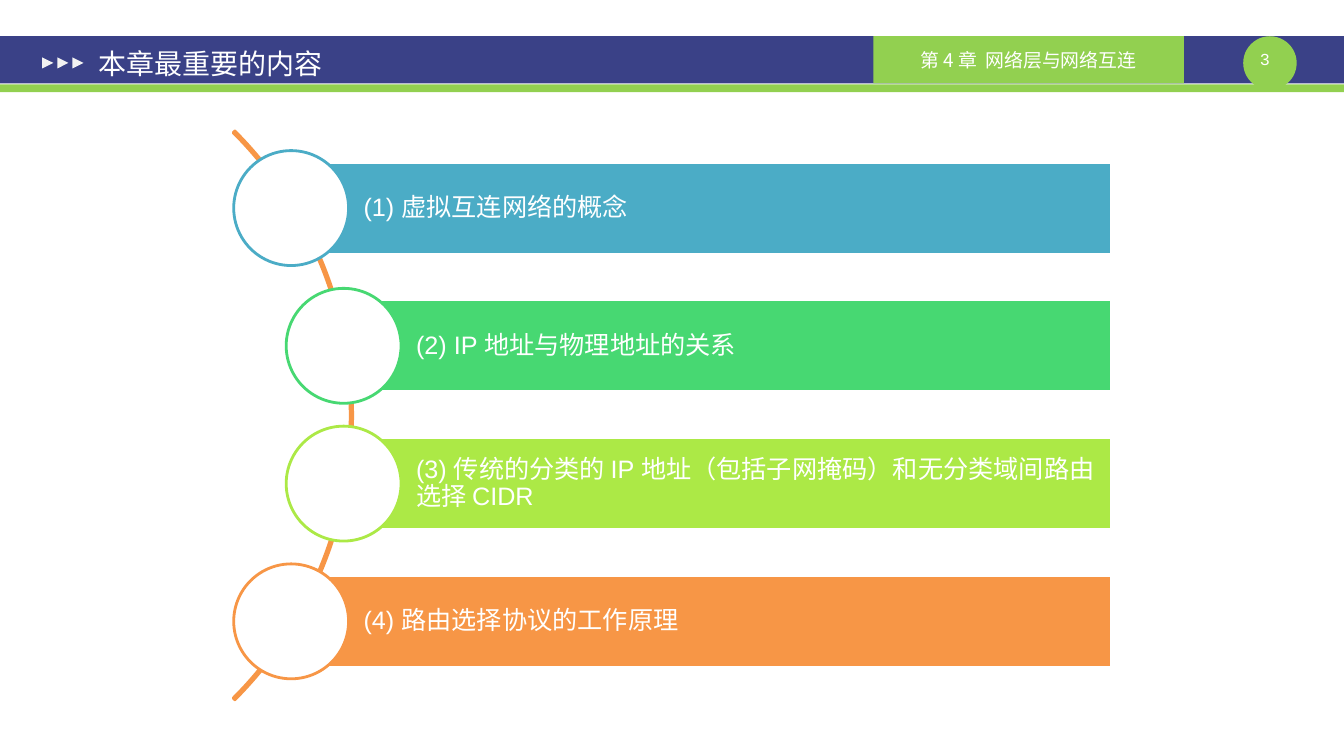
from pptx import Presentation
from pptx.dml.color import RGBColor
from pptx.enum.shapes import MSO_SHAPE
from pptx.enum.text import MSO_ANCHOR, PP_ALIGN
from pptx.util import Pt

RECTANGLE = MSO_SHAPE.RECTANGLE
OVAL = MSO_SHAPE.OVAL
TRIANGLE = MSO_SHAPE.ISOSCELES_TRIANGLE
BLOCK_ARC = MSO_SHAPE.BLOCK_ARC
MIDDLE = MSO_ANCHOR.MIDDLE
LEFT, CENTER = PP_ALIGN.LEFT, PP_ALIGN.CENTER

COLORS = {
    "white": "FFFFFF",
    "marker": "F2F2F2",
    "navy": "3A4187",
    "green": "92D050",
    "blue": "4BACC6",
    "emerald": "47D872",
    "lime": "ACE946",
    "orange": "F79646",
}
SLIDE_WIDTH, SLIDE_HEIGHT = 960.48, 540
BAND_TOP, BAND_HEIGHT = 25.9, 33.8

ROW_TOP, ROW_STEP, ROW_HEIGHT, ROW_RIGHT = 115.9, 98.4, 65.5, 794.2
CIRCLE_SIZE = 82.1
OUTER_LEFT, INNER_LEFT = 208.1, 245.6
TOPICS = [
    ("(1) 虚拟互连网络的概念", "blue", OUTER_LEFT),
    ("(2) IP 地址与物理地址的关系", "emerald", INNER_LEFT),
    ("(3) 传统的分类的 IP 地址（包括子网掩码）和无分类域间路由选择 CIDR", "lime", INNER_LEFT),
    ("(4) 路由选择协议的工作原理", "orange", OUTER_LEFT),
]


def rgb(name):
    return RGBColor.from_string(COLORS[name])


def add_shape(slide, kind, left, top, width, height, fill=None, line=None):
    shape = slide.shapes.add_shape(kind, Pt(left), Pt(top), Pt(width), Pt(height))
    shape.shadow.inherit = False
    if fill:
        shape.fill.solid()
        shape.fill.fore_color.rgb = rgb(fill)
    else:
        shape.fill.background()
    if line:
        shape.line.color.rgb = rgb(line)
        shape.line.width = Pt(2)
    else:
        shape.line.fill.background()
    return shape


def write(shape, text, size, font, alignment, margins, anchor=MIDDLE):
    """Set white text; margins are left, top, right, bottom in points."""
    frame = shape.text_frame
    frame.word_wrap = True
    frame.vertical_anchor = anchor
    (frame.margin_left, frame.margin_top,
     frame.margin_right, frame.margin_bottom) = map(Pt, margins)
    frame.text = text
    paragraph = frame.paragraphs[0]
    paragraph.alignment = alignment
    run_font = paragraph.runs[0].font
    run_font.size = Pt(size)
    run_font.name = font
    run_font.color.rgb = rgb("white")
    return paragraph


def add_header(slide):
    add_shape(slide, RECTANGLE, 0, BAND_TOP, SLIDE_WIDTH, BAND_HEIGHT, "navy")
    add_shape(slide, RECTANGLE, 0, 60.3, SLIDE_WIDTH, 5.6, "green")
    add_shape(slide, OVAL, 888.5, BAND_TOP, 38.2, 38.2, "green")
    number = slide.shapes.add_textbox(Pt(888.5), Pt(34.6), Pt(38.2), Pt(14.4))
    write(number, "3 ", 12, "Courier New", CENTER, (0, 0, 0, 0), MSO_ANCHOR.TOP)
    chapter = add_shape(slide, RECTANGLE, 624.2, BAND_TOP, 221.8, BAND_HEIGHT, "green")
    write(chapter, "第 4 章  网络层与网络互连", 13.5, "Noto Sans CJK SC", CENTER,
          (7.2, 3.6, 7.2, 3.6))
    for index in range(3):
        marker = add_shape(slide, TRIANGLE, 30.2 + 10.8 * index, 41, 7.9, 7.9, "marker")
        marker.rotation = 90


def place_title(slide, text):
    title = slide.shapes.title
    title.left, title.top, title.width, title.height = Pt(61.2), Pt(28.1), Pt(419.8), Pt(33.8)
    write(title, text, 20, "Arial", LEFT, (9.4, 5, 9.4, 5))
    # Header shapes come after the placeholder, so lift the title above them.
    slide.shapes._spTree.append(title._element)


def add_topic(slide, top, text, color, left):
    bar = add_shape(slide, RECTANGLE, left, top, ROW_RIGHT - left, ROW_HEIGHT, color, "white")
    paragraph = write(bar, text, 18, "Arial", LEFT, (51.8, 3.6, 3.6, 3.6))
    paragraph.line_spacing = 0.9
    circle_top = top + (ROW_HEIGHT - CIRCLE_SIZE) / 2
    add_shape(slide, OVAL, left - CIRCLE_SIZE / 2, circle_top, CIRCLE_SIZE, CIRCLE_SIZE,
              "white", color)


def add_topic_list(slide):
    arc = add_shape(slide, BLOCK_ARC, -322.6, 9.4, 574.6, 574.6, line="orange")
    for index, value in enumerate((189, 27, 0.003)):
        arc.adjustments[index] = value
    for index, topic in enumerate(TOPICS):
        add_topic(slide, ROW_TOP + ROW_STEP * index, *topic)


def main():
    presentation = Presentation()
    presentation.slide_width = Pt(SLIDE_WIDTH)
    presentation.slide_height = Pt(SLIDE_HEIGHT)
    slide = presentation.slides.add_slide(presentation.slide_layouts[5])
    add_header(slide)
    place_title(slide, "本章最重要的内容")
    add_topic_list(slide)
    presentation.save("out.pptx")


if __name__ == "__main__":
    main()
